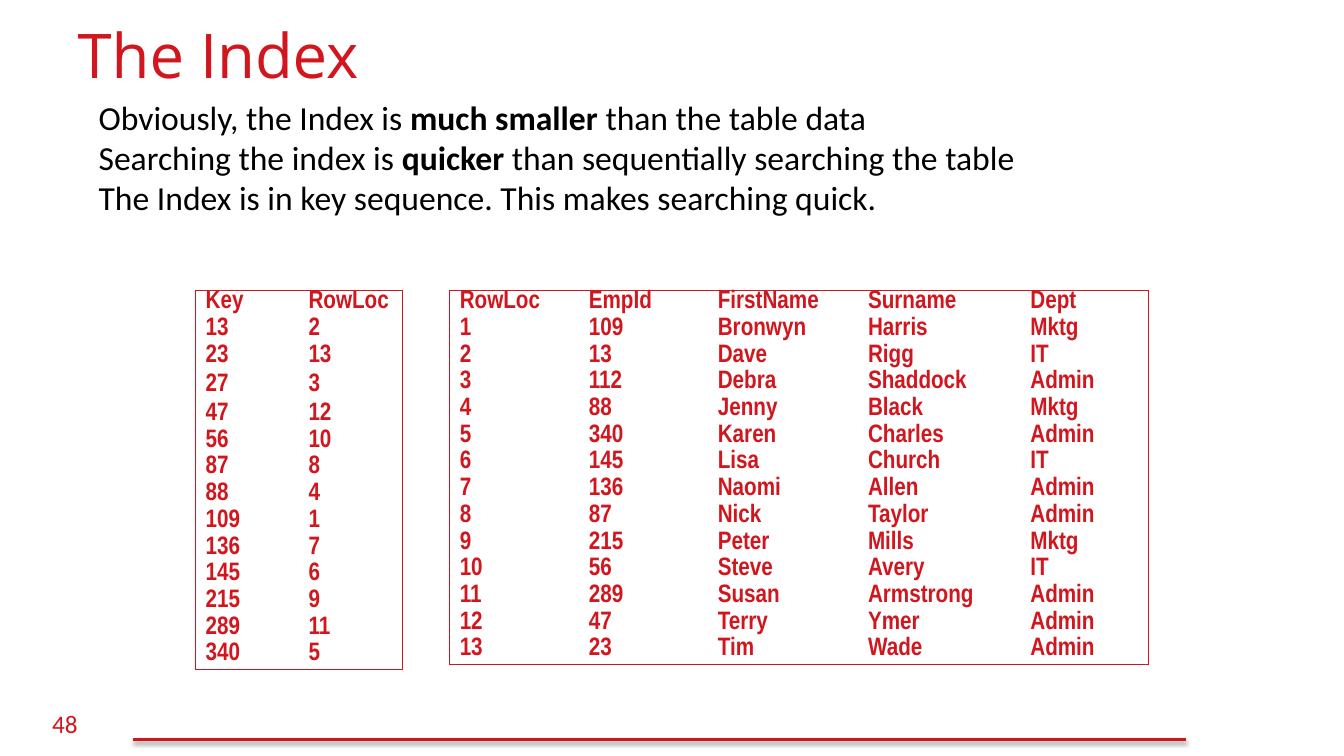
import pptx
import pptx.dml.color
import pptx.enum.shapes
import pptx.enum.text
import pptx.oxml
import pptx.oxml.ns
import pptx.util

Inches, Pt = pptx.util.Inches, pptx.util.Pt
ANCHOR = pptx.enum.text.MSO_ANCHOR
COLORS = {"red": "D1161E", "black": "000000"}
NAMESPACE = pptx.oxml.ns.nsdecls("a")
NO_STYLE = "{2D5ABB26-0587-4C30-8999-92F81FD0307C}"
TABLE_TOP = 2.88
ROW_HEIGHT = 3.71 / 14


def add_run(paragraph, text, size, font, color, bold=False):
    run = paragraph.add_run()
    run.text = text
    run.font.size = Pt(size)
    run.font.name = font
    run.font.bold = bold
    run.font.color.rgb = pptx.dml.color.RGBColor.from_string(COLORS[color])


def add_framed_table(left, widths, rows, heights):
    frame = slide.shapes.add_table(
        len(rows), len(widths), Inches(left), Inches(TABLE_TOP),
        Inches(sum(widths)), Inches(sum(heights)))
    table = frame.table
    table.first_row = table.horz_banding = False
    table._tbl.tblPr.find(pptx.oxml.ns.qn("a:tableStyleId")).text = NO_STYLE
    for column, width in zip(table.columns, widths):
        column.width = Inches(width)
    for row, height in zip(table.rows, heights):
        row.height = Inches(height)
    for i, values in enumerate(rows):
        for j, value in enumerate(values):
            cell = table.cell(i, j)
            cell.margin_left = cell.margin_right = Inches(0.1)
            cell.margin_top, cell.margin_bottom = 0, Inches(0.05)
            cell.vertical_anchor = ANCHOR.BOTTOM
            paragraph = cell.text_frame.paragraphs[0]
            paragraph.line_spacing = 0.7
            add_run(paragraph, value, 18, "Arial Narrow", "red", True)
            # Only the outer edges of the table carry a line
            edges = {"L": j == 0, "R": j == len(widths) - 1,
                     "T": i == 0, "B": i == len(rows) - 1}
            for side, outer in edges.items():
                if outer:
                    cell._tc.get_or_add_tcPr().append(pptx.oxml.parse_xml(
                        f'<a:ln{side} {NAMESPACE} w="12700"><a:solidFill>'
                        f'<a:srgbClr val="{COLORS["red"]}"/>'
                        f'</a:solidFill></a:ln{side}>'))
            cell.fill.background()


presentation = pptx.Presentation()
presentation.slide_width = Inches(13.33)
presentation.slide_height = Inches(7.5)
slide = presentation.slides.add_slide(presentation.slide_layouts[5])

# Footer rule with soft shadow
rule = slide.shapes.add_connector(
    pptx.enum.shapes.MSO_CONNECTOR.STRAIGHT,
    Inches(1.32), Inches(7.34), Inches(11.76), Inches(7.34))
rule.line.width = Pt(2)
rule.line.color.rgb = pptx.dml.color.RGBColor.from_string(COLORS["red"])
rule._element.spPr.append(pptx.oxml.parse_xml(
    f'<a:effectLst {NAMESPACE}><a:outerShdw blurRad="{Pt(3.1)}" '
    f'dist="{Pt(1.6)}" dir="5400000" rotWithShape="0">'
    f'<a:srgbClr val="{COLORS["black"]}"><a:alpha val="38000"/></a:srgbClr>'
    '</a:outerShdw></a:effectLst>'))

# Slide number
number = slide.shapes.add_textbox(
    Inches(0.42), Inches(6.98), Inches(0.5), Inches(0.4))
number.text_frame.word_wrap = False
add_run(number.text_frame.paragraphs[0], "48", 18, "Calibri", "red")

# Title
title = slide.shapes.title
title.left, title.top = Inches(0.67), Inches(0.12)
title.width, title.height = Inches(12), Inches(1.16)
title.text_frame.vertical_anchor = ANCHOR.TOP
title_paragraph = title.text_frame.paragraphs[0]
title_paragraph.alignment = pptx.enum.text.PP_ALIGN.LEFT
add_run(title_paragraph, "The Index", 44, "Open Sans", "red")

# Employee table
employees = [
    ("RowLoc", "EmpId", "FirstName", "Surname", "Dept"),
    ("1", "109", "Bronwyn", "Harris", "Mktg"),
    ("2", "13", "Dave", "Rigg", "IT"),
    ("3", "112", "Debra", "Shaddock", "Admin"),
    ("4", "88", "Jenny", "Black", "Mktg"),
    ("5", "340", "Karen", "Charles", "Admin"),
    ("6", "145", "Lisa", "Church", "IT"),
    ("7", "136", "Naomi", "Allen", "Admin"),
    ("8", "87", "Nick", "Taylor", "Admin"),
    ("9", "215", "Peter", "Mills", "Mktg"),
    ("10", "56", "Steve", "Avery", "IT"),
    ("11", "289", "Susan", "Armstrong", "Admin"),
    ("12", "47", "Terry", "Ymer", "Admin"),
    ("13", "23", "Tim", "Wade", "Admin"),
]
add_framed_table(4.46, [1.28, 1.28, 1.49, 1.61, 1.27], employees,
                 [ROW_HEIGHT] * len(employees))

# Index table; two of its rows are slightly taller
index = [
    ("Key", "RowLoc"), ("13", "2"), ("23", "13"), ("27", "3"), ("47", "12"),
    ("56", "10"), ("87", "8"), ("88", "4"), ("109", "1"), ("136", "7"),
    ("145", "6"), ("215", "9"), ("289", "11"), ("340", "5"),
]
index_heights = [0.29 if i in (3, 4) else ROW_HEIGHT for i in range(len(index))]
add_framed_table(1.94, [1.02, 1.03], index, index_heights)

# Explanation; every second piece of a line is bold
explanation = [
    ("Obviously, the Index is ", "much smaller", " than the table data"),
    ("Searching the index is ", "quicker",
     " than sequentially searching the table"),
    ("The Index is in key sequence. This makes searching quick.",),
]
body = slide.shapes.add_textbox(
    Inches(0.88), Inches(0.91), Inches(10.37), Inches(1.69))
body.text_frame.word_wrap = True
for i, pieces in enumerate(explanation):
    paragraph = (body.text_frame.add_paragraph() if i
                 else body.text_frame.paragraphs[0])
    for j, piece in enumerate(pieces):
        add_run(paragraph, piece, 24, "Calibri", "black", j % 2 == 1)

presentation.save("out.pptx")
